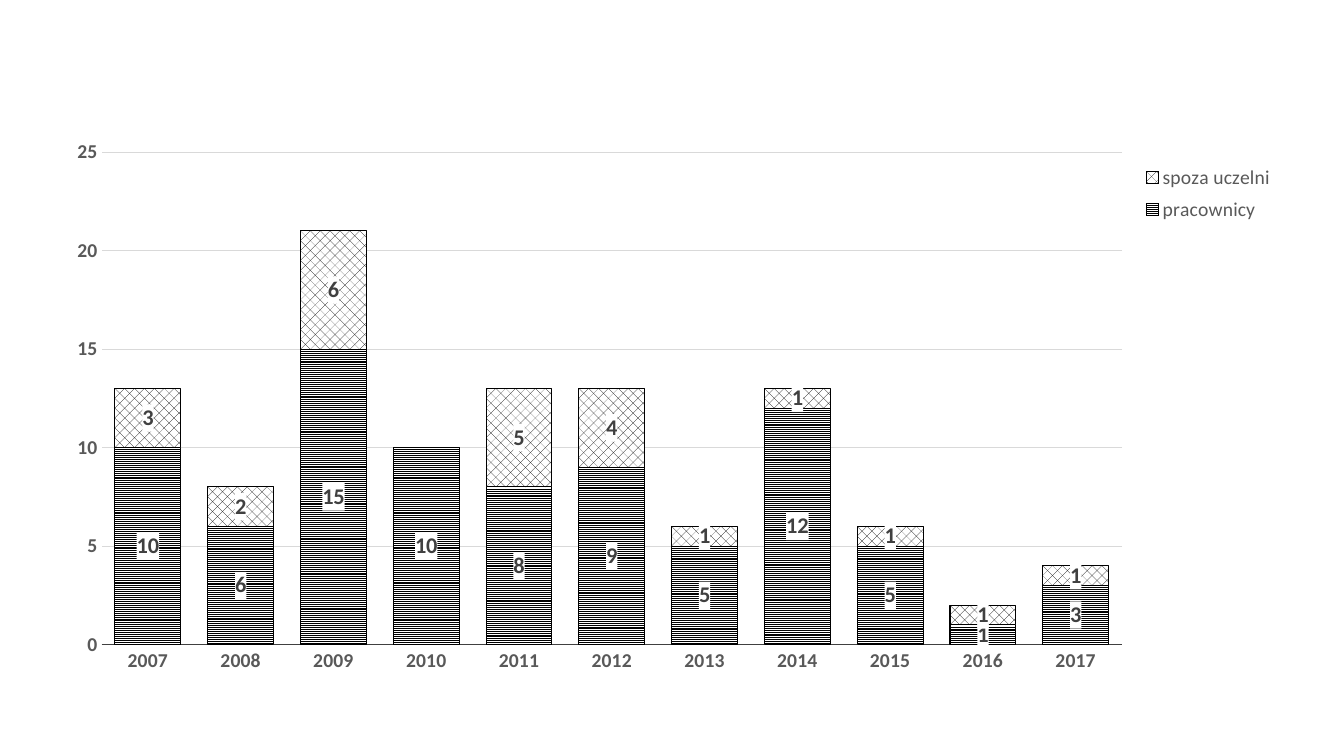
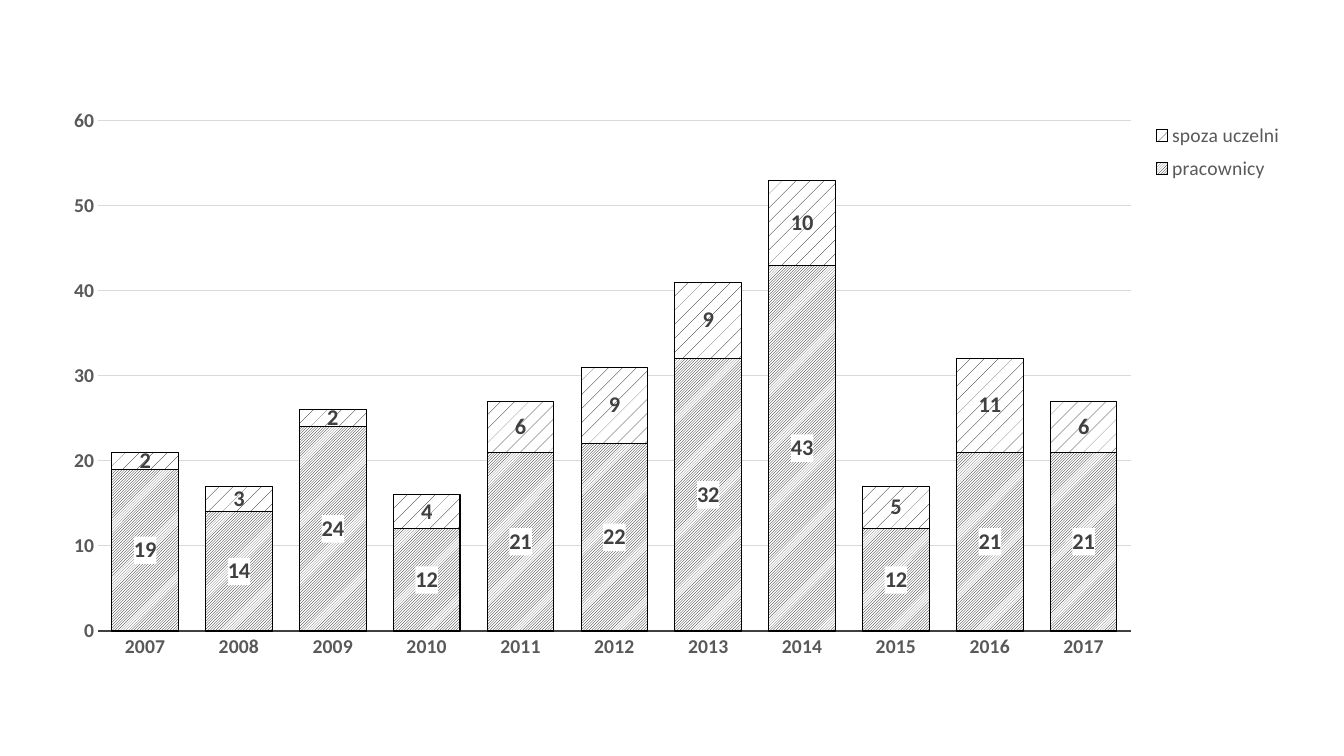
from pptx import Presentation
from pptx.chart.data import CategoryChartData
from pptx.dml.color import RGBColor
from pptx.enum.chart import (XL_CHART_TYPE, XL_LABEL_POSITION,
                             XL_LEGEND_POSITION, XL_TICK_MARK)
from pptx.enum.dml import MSO_PATTERN
from pptx.oxml import parse_xml
from pptx.oxml.ns import nsdecls, qn
from pptx.util import Pt

STACKED = XL_CHART_TYPE.COLUMN_STACKED
CENTER = XL_LABEL_POSITION.CENTER
LEGEND_RIGHT = XL_LEGEND_POSITION.RIGHT
NO_TICK = XL_TICK_MARK.NONE
LINES = MSO_PATTERN.LIGHT_HORIZONTAL
DOTS = MSO_PATTERN.PERCENT_30
DIAGONALS = MSO_PATTERN.DARK_UPWARD_DIAGONAL
SPARSE_DOTS = MSO_PATTERN.PERCENT_5

FONT = "Calibri"
COLORS = {"black": "000000", "white": "FFFFFF", "label": "404040",
          "text": "595959", "grid": "D9D9D9"}
YEARS = [str(year) for year in range(2007, 2018)]
PLOT_AREA = (0.04, 0.04, 0.83, 0.89)


def color(name):
    return RGBColor.from_string(COLORS[name])


def style_font(font, size, color_name, bold=False):
    font.name = FONT
    font.size = Pt(size)
    font.bold = bold
    font.color.rgb = color(color_name)


def style_line(line, color_name, width):
    line.color.rgb = color(color_name)
    line.width = Pt(width)


def place(element, index, box, inner=False):
    """Fix a chart part at fractions (left, top, width, height) of the chart."""
    for layout in element.findall(qn("c:layout")):
        element.remove(layout)
    target = '<c:layoutTarget val="inner"/>' if inner else ""
    modes = '<c:xMode val="edge"/><c:yMode val="edge"/>'
    sizes = "".join(f'<c:{tag} val="{value}"/>' for tag, value in zip("xywh", box))
    element.insert(index, parse_xml(
        f'<c:layout {nsdecls("c")}><c:manualLayout>{target}{modes}{sizes}'
        '</c:manualLayout></c:layout>'))


def style_axes(chart, maximum, step):
    for axis in (chart.category_axis, chart.value_axis):
        axis.major_tick_mark = NO_TICK
        axis.minor_tick_mark = NO_TICK
        style_font(axis.tick_labels.font, 14, "text", bold=True)
    style_line(chart.category_axis.format.line, "label", 1.25)

    value_axis = chart.value_axis
    value_axis.minimum_scale = 0
    value_axis.maximum_scale = maximum
    value_axis.major_unit = step
    value_axis.format.line.fill.background()
    value_axis.has_major_gridlines = True
    style_line(value_axis.major_gridlines.format.line, "grid", 0.75)


def style_labels(series, white_box):
    labels = series.data_labels
    labels.show_value = True
    labels.position = CENTER
    style_font(labels.font, 16, "label", bold=True)
    element = labels._element
    if white_box:
        element.find(qn("c:txPr")).addprevious(parse_xml(
            f'<c:spPr {nsdecls("c", "a")}><a:solidFill>'
            f'<a:srgbClr val="{COLORS["white"]}"/></a:solidFill></c:spPr>'))
    # Zero values carry no label
    zeros = [index for index, value in enumerate(series.values) if value == 0]
    for position, index in enumerate(zeros):
        element.insert(position, parse_xml(
            f'<c:dLbl {nsdecls("c")}><c:idx val="{index}"/>'
            '<c:delete val="1"/></c:dLbl>'))


def style_series(series, pattern, white_box):
    fill = series.format.fill
    fill.patterned()
    fill.pattern = pattern
    fill.fore_color.rgb = color("black")
    fill.back_color.rgb = color("white")
    style_line(series.format.line, "black", 0.75)
    style_labels(series, white_box)


def add_legend(chart, top):
    chart.has_legend = True
    legend = chart.legend
    legend.position = LEGEND_RIGHT
    legend.include_in_layout = False
    style_font(legend.font, 14, "text")
    place(legend._element, 1, (0.88, top, 0.12, 0.13))


def add_stacked_chart(slide, box, series_rows, maximum, step, legend_top):
    data = CategoryChartData()
    data.categories = YEARS
    for name, values, _, _ in series_rows:
        data.add_series(name, values)
    chart = slide.shapes.add_chart(STACKED, *map(Pt, box), data).chart
    chart.has_title = False
    style_font(chart.font, 16, "black")

    plot = chart.plots[0]
    plot.gap_width = 41
    plot.overlap = 100
    plot.vary_by_categories = False
    for series, (_, _, pattern, white_box) in zip(plot.series, series_rows):
        style_series(series, pattern, white_box)

    style_axes(chart, maximum, step)
    add_legend(chart, legend_top)
    place(chart._chartSpace.chart.plotArea, 0, PLOT_AREA, inner=True)


def main():
    presentation = Presentation()
    presentation.slide_width = Pt(960)
    presentation.slide_height = Pt(540)
    blank = presentation.slide_layouts[6]

    # Each series: name, yearly values, pattern, white box behind labels
    staff, outside = "pracownicy", "spoza uczelni"
    add_stacked_chart(
        presentation.slides.add_slide(blank), (37.4, 92.9, 878.4, 395.3),
        [(staff, (10, 6, 15, 10, 8, 9, 5, 12, 5, 1, 3), LINES, True),
         (outside, (3, 2, 6, 0, 5, 4, 1, 1, 1, 1, 1), DOTS, True)],
        maximum=25, step=5, legend_top=0.05)
    add_stacked_chart(
        presentation.slides.add_slide(blank), (34.6, 69.8, 888.5, 409.7),
        [(staff, (19, 14, 24, 12, 21, 22, 32, 43, 12, 21, 21), DIAGONALS, True),
         (outside, (2, 3, 2, 4, 6, 9, 9, 10, 5, 11, 6), SPARSE_DOTS, False)],
        maximum=60, step=10, legend_top=0.03)

    presentation.save("out.pptx")


main()
